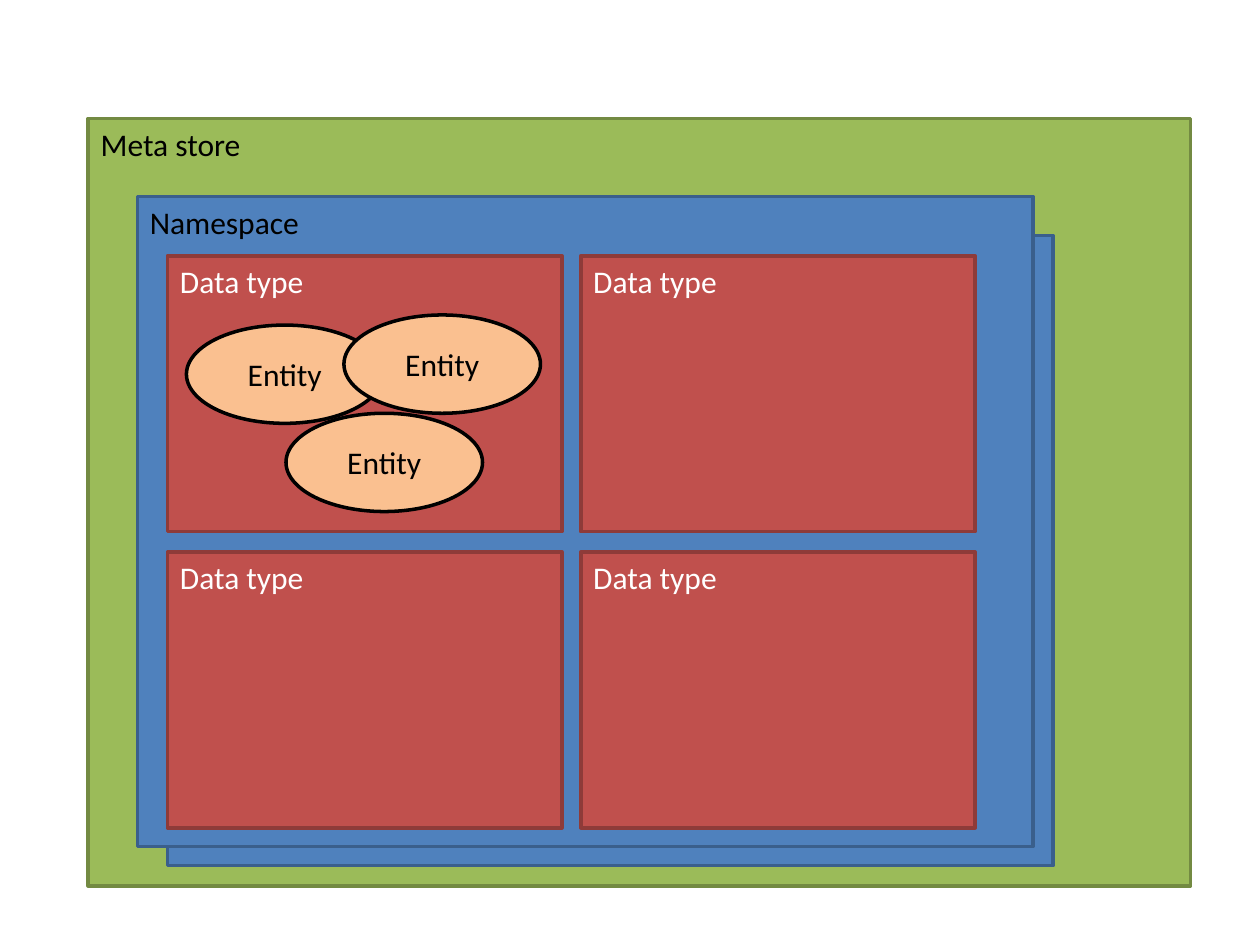
import pptx
import pptx.util
import pptx.dml.color
import pptx.enum.shapes
import pptx.enum.text
from pptx.util import Inches

RGBColor = pptx.dml.color.RGBColor
SHAPES = pptx.enum.shapes.MSO_SHAPE
ALIGN = pptx.enum.text.PP_ALIGN
ANCHOR = pptx.enum.text.MSO_ANCHOR

BLACK = RGBColor(0x00, 0x00, 0x00)
WHITE = RGBColor(0xFF, 0xFF, 0xFF)
GREEN = RGBColor(0x9B, 0xBB, 0x59)
DARK_GREEN = RGBColor(0x73, 0x8A, 0x42)
BLUE = RGBColor(0x4F, 0x81, 0xBD)
DARK_BLUE = RGBColor(0x3A, 0x5F, 0x8C)
RED = RGBColor(0xC0, 0x50, 0x4D)
DARK_RED = RGBColor(0x8E, 0x3B, 0x39)
PEACH = RGBColor(0xFA, 0xC0, 0x90)

# Containers from back to front: label, (left, top, width, height), fill, line
CONTAINERS = [
    ("Meta store", (0.7, 0.94, 8.75, 6.09), GREEN, DARK_GREEN),
    (None, (1.33, 1.87, 7.03, 5), BLUE, DARK_BLUE),
    ("Namespace", (1.09, 1.56, 7.11, 5.16), BLUE, DARK_BLUE),
]

# Two by two grid of data types
DATA_TYPES = [["Data type", "Data type"], ["Data type", "Data type"]]
GRID_LEFT, GRID_TOP = 1.33, 2.03
TYPE_WIDTH, TYPE_HEIGHT = 3.13, 2.19
COLUMN_GAP, ROW_GAP = 0.15, 0.16

# Entities inside the first data type: label, left, top
ENTITIES = [("Entity", 1.48, 2.58), ("Entity", 2.27, 3.28), ("Entity", 2.73, 2.5)]
ENTITY_WIDTH, ENTITY_HEIGHT = 1.56, 0.78

LABEL_WIDTH, LABEL_HEIGHT = 2.89, 0.4

deck = pptx.Presentation()
deck.slide_width, deck.slide_height = Inches(10), Inches(7.5)
page = deck.slides.add_slide(deck.slide_layouts[6])


def add_span(para, text, color):
    span = para.add_run()
    span.text = text
    span.font.name = "Calibri"
    span.font.size = pptx.util.Pt(18)
    span.font.color.rgb = color


def add_block(kind, bounds, fill, line):
    block = page.shapes.add_shape(kind, *map(Inches, bounds))
    block.shadow.inherit = False
    block.fill.solid()
    block.fill.fore_color.rgb = fill
    block.line.color.rgb = line
    block.line.width = pptx.util.Pt(2)
    return block


def add_label(text, left, top, color):
    box = page.shapes.add_textbox(*map(Inches, (left, top, LABEL_WIDTH, LABEL_HEIGHT)))
    box.text_frame.word_wrap = True
    box.text_frame.auto_size = pptx.enum.text.MSO_AUTO_SIZE.SHAPE_TO_FIT_TEXT
    add_span(box.text_frame.paragraphs[0], text, color)


# Meta store and stacked namespaces
for label, bounds, fill, line in CONTAINERS:
    add_block(SHAPES.RECTANGLE, bounds, fill, line)
    if label:
        add_label(label, bounds[0], bounds[1], BLACK)

# Data types
for row, labels in enumerate(DATA_TYPES):
    for column, label in enumerate(labels):
        left = GRID_LEFT + column * (TYPE_WIDTH + COLUMN_GAP)
        top = GRID_TOP + row * (TYPE_HEIGHT + ROW_GAP)
        add_block(SHAPES.RECTANGLE, (left, top, TYPE_WIDTH, TYPE_HEIGHT), RED, DARK_RED)
        add_label(label, left, top, WHITE)

# Entities
for label, left, top in ENTITIES:
    entity = add_block(SHAPES.OVAL, (left, top, ENTITY_WIDTH, ENTITY_HEIGHT), PEACH, BLACK)
    entity.text_frame.vertical_anchor = ANCHOR.MIDDLE
    para = entity.text_frame.paragraphs[0]
    para.alignment = ALIGN.CENTER
    add_span(para, label, BLACK)

deck.save("out.pptx")
